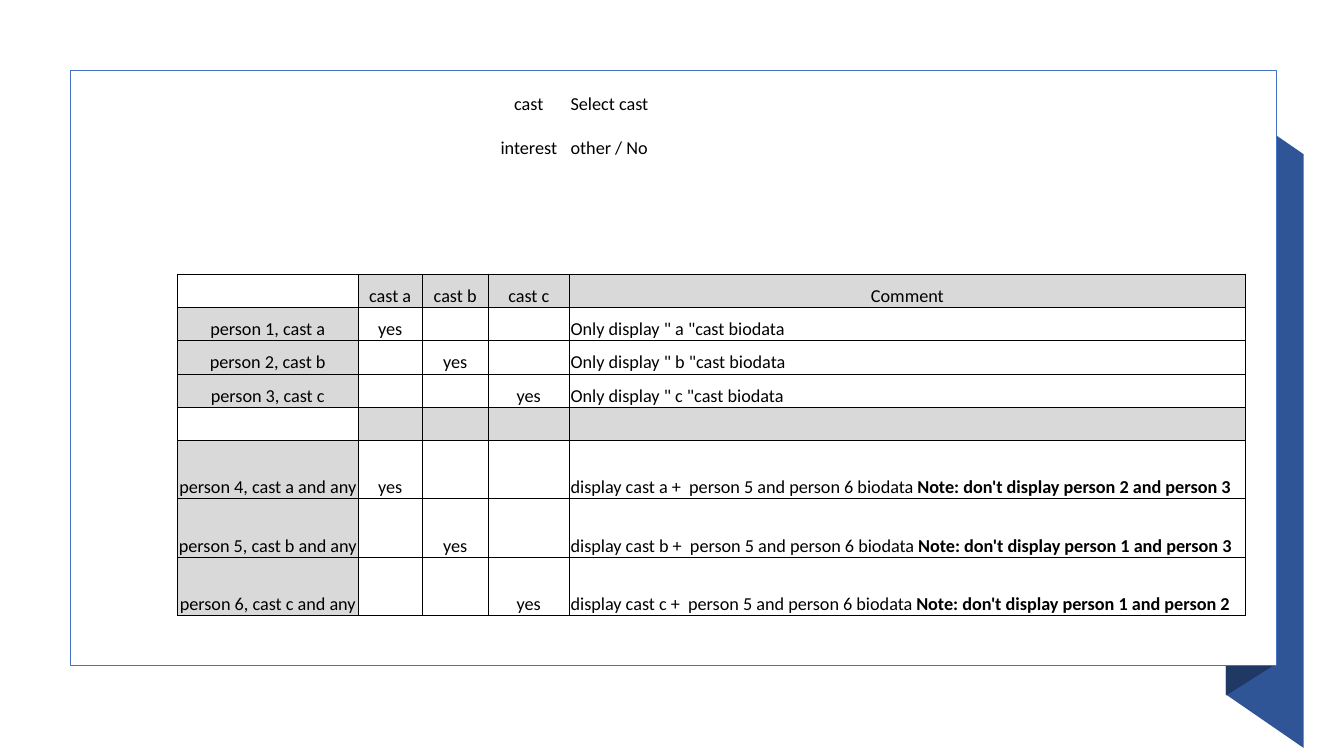
from lxml import etree
from pptx import Presentation
from pptx import util as u
from pptx.dml.color import RGBColor
from pptx.enum import shapes, text
from pptx.oxml.ns import qn

COLORS = {"ribbon": "2F5597", "fold": "203864", "panel": "FFFFFF",
          "outline": "4472C4", "shade": "D9D9D9", "ink": "000000"}
FONT, SIZE = "Calibri", 13
COL_WIDTHS = [1.79, 0.64, 0.65, 0.81, 6.7]
ROW_HEIGHTS = [0.44] * 2 + [0.57] * 2 + [0.33] * 5 + [0.58] * 3
GRID_TOP, GAP_ROW, COMMENT_COL = 4, 8, 4


def rgb(name):
    """Return the named colour."""
    return RGBColor.from_string(COLORS[name])


def add_polygon(s, points, color):
    """Draw a filled outline without a line from points in inches."""
    corners = [(u.Inches(x), u.Inches(y)) for x, y in points]
    builder = s.shapes.build_freeform(*corners[0])
    builder.add_line_segments(corners[1:], close=True)
    sp = builder.convert_to_shape()
    sp.shadow.inherit = False
    sp.fill.solid()
    sp.fill.fore_color.rgb = rgb(color)
    sp.line.fill.background()


def add_panel(s, x, y, w, h):
    """Draw the white outlined panel behind the table."""
    sp = s.shapes.add_shape(shapes.MSO_SHAPE.RECTANGLE, *map(u.Inches, (x, y, w, h)))
    sp.shadow.inherit = False
    sp.fill.solid()
    sp.fill.fore_color.rgb = rgb("panel")
    sp.line.color.rgb = rgb("outline")
    sp.line.width = u.Pt(1)


def set_borders(cell, black_sides):
    """Give the listed sides a thin black line and hide the others."""
    tc_pr = cell._tc.get_or_add_tcPr()
    for side in "LRTB":
        ln = etree.SubElement(tc_pr, qn(f"a:ln{side}"), w=str(u.Pt(0.5)))
        if side in black_sides:
            fill = etree.SubElement(ln, qn("a:solidFill"))
            etree.SubElement(fill, qn("a:srgbClr"), val=COLORS["ink"])
        else:
            etree.SubElement(ln, qn("a:noFill"))


def write_cell(cell, content, centered):
    """Write a string, or a plain and a bold part, at the foot of a cell."""
    parts = content if isinstance(content, tuple) else (content,)
    p = cell.text_frame.paragraphs[0]
    p.alignment = text.PP_ALIGN.CENTER if centered else text.PP_ALIGN.LEFT
    for i, part in enumerate(parts):
        r = p.add_run()
        r.text = part
        r.font.name, r.font.size, r.font.bold = FONT, u.Pt(SIZE), i == 1
        r.font.color.rgb = rgb("ink")


def is_shaded(row, col):
    """Tell whether a cell belongs to a header or to the gap row."""
    if row in (GRID_TOP, GAP_ROW):
        return col > 0
    return row > GRID_TOP and col == 0


def table_content():
    """Return the cell contents keyed by row and column."""
    cells = {(0, 3): "cast", (0, 4): "Select cast",
             (1, 3): "interest", (1, 4): "other / No",
             (GRID_TOP, COMMENT_COL): "Comment"}
    hidden = ["person 2 and person 3", "person 1 and person 3", "person 1 and person 2"]
    for i, cast in enumerate("abc"):
        single, mixed = GRID_TOP + 1 + i, GAP_ROW + 1 + i
        cells[GRID_TOP, i + 1] = f"cast {cast}"
        cells[single, 0] = f"person {i + 1}, cast {cast}"
        cells[mixed, 0] = f"person {i + 4}, cast {cast} and any"
        cells[single, i + 1] = cells[mixed, i + 1] = "yes"
        cells[single, COMMENT_COL] = f'Only display " {cast} "cast biodata'
        cells[mixed, COMMENT_COL] = (
            f"display cast {cast} +  person 5 and person 6 biodata ",
            f"Note: don't display {hidden[i]}")
    return cells


def add_cast_table(s, x, y):
    """Add the table of display rules per person and cast."""
    frame = s.shapes.add_table(len(ROW_HEIGHTS), len(COL_WIDTHS), u.Inches(x), u.Inches(y),
                               u.Inches(sum(COL_WIDTHS)), u.Inches(sum(ROW_HEIGHTS)))
    table = frame.table
    table.first_row = table.horz_banding = False
    for column, width in zip(table.columns, COL_WIDTHS):
        column.width = u.Inches(width)
    for row, height in zip(table.rows, ROW_HEIGHTS):
        row.height = u.Inches(height)
    content = table_content()
    for row in range(len(ROW_HEIGHTS)):
        for col in range(len(COL_WIDTHS)):
            cell = table.cell(row, col)
            cell.margin_left = cell.margin_right = cell.margin_top = u.Inches(0.01)
            cell.margin_bottom = 0
            cell.vertical_anchor = text.MSO_ANCHOR.BOTTOM
            set_borders(cell, "LRTB" if row >= GRID_TOP else "B" if row == GRID_TOP - 1 else "")
            if is_shaded(row, col):
                cell.fill.solid()
                cell.fill.fore_color.rgb = rgb("shade")
            else:
                cell.fill.background()
            if (row, col) in content:
                write_cell(cell, content[row, col], col < COMMENT_COL or row == GRID_TOP)


def main():
    """Build the slide and save it."""
    prs = Presentation()
    prs.slide_width, prs.slide_height = u.Inches(13.33), u.Inches(7.5)
    s = prs.slides.add_slide(prs.slide_layouts[6])
    add_polygon(s, [(12.93, 7.42), (12.16, 6.89), (12.16, 1), (12.93, 1.53)], "ribbon")
    add_polygon(s, [(12.62, 6.61), (12.16, 6.9), (12.16, 1), (12.62, 0.7)], "fold")
    add_panel(s, 0.7, 0.7, 11.96, 5.9)
    add_cast_table(s, 1.76, 0.7)
    prs.save("out.pptx")


main()
